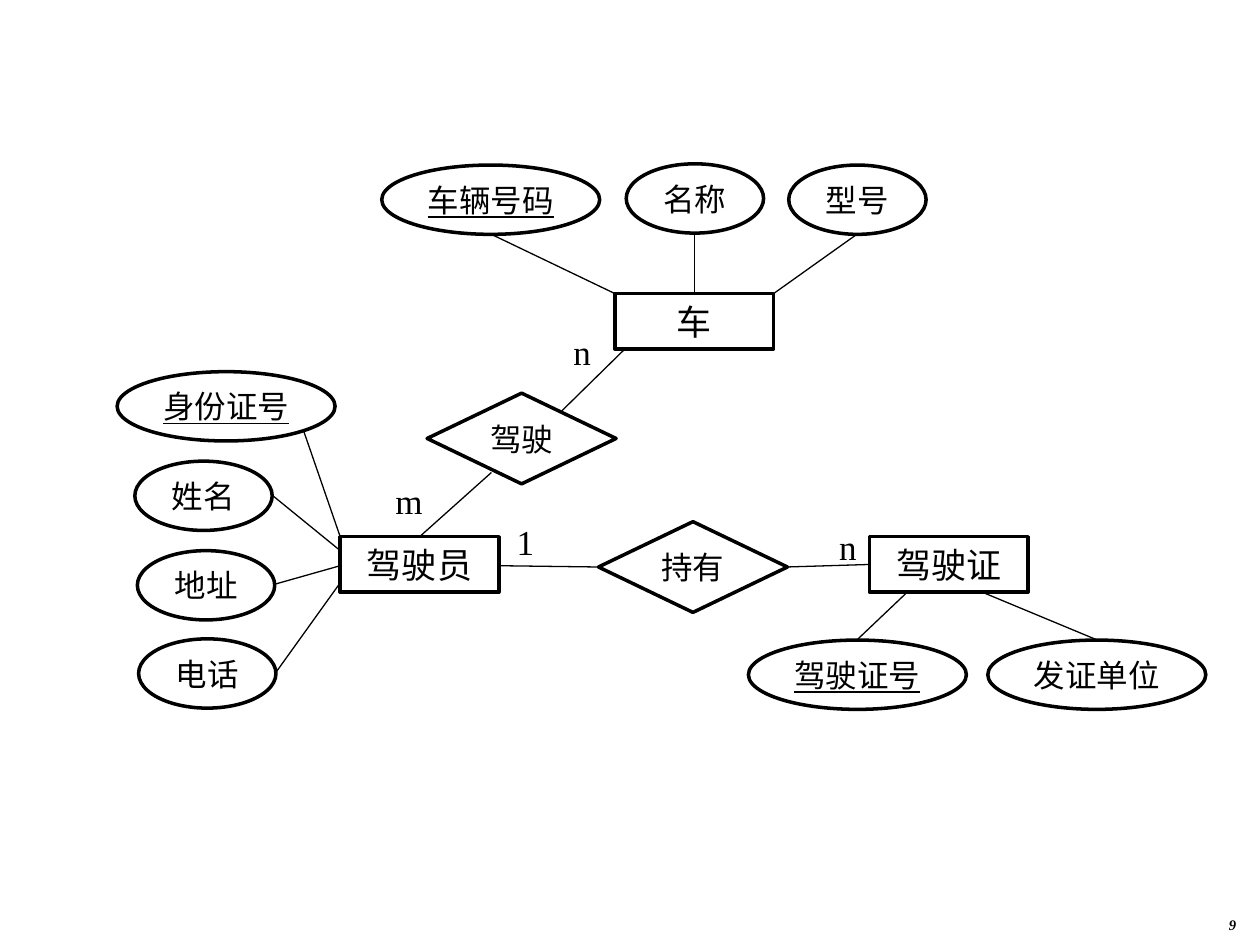
"""Build an entity-relationship slide of drivers, vehicles and licences."""
from typing import NamedTuple

import pptx
import pptx.util
from pptx.dml.color import RGBColor
from pptx.enum.shapes import MSO_CONNECTOR, MSO_SHAPE
from pptx.enum.text import MSO_ANCHOR, PP_ALIGN
from pptx.oxml.ns import qn

COLORS = {"ink": "000000", "paper": "FFFFFF"}
FONT = "Times New Roman"
COLUMNS, ROWS = 100, 75

deck = pptx.Presentation()
deck.slide_width, deck.slide_height = pptx.util.Inches(10), pptx.util.Inches(7.5)
slide = deck.slides.add_slide(deck.slide_layouts[6])


class Kind(NamedTuple):
    outline: MSO_SHAPE
    width: float
    height: float
    size: float


class Node(NamedTuple):
    text: str
    kind: Kind
    column: float
    row: float
    key: bool = False


class Link(NamedTuple):
    start: tuple[float, float]
    end: tuple[float, float]


class Cardinality(NamedTuple):
    text: str
    column: float
    row: float
    width: float = 3.4


ENTITY = Kind(MSO_SHAPE.RECTANGLE, 12.6, 4.4, 20)
RELATION = Kind(MSO_SHAPE.DIAMOND, 15, 7.2, 18)
WIDE = Kind(MSO_SHAPE.OVAL, 17.3, 5.5, 18)
SHORT = Kind(MSO_SHAPE.OVAL, 10.9, 5.5, 18)

NODES = [
    Node("车", ENTITY, 48.8, 23.3),
    Node("驾驶员", ENTITY, 27, 42.6),
    Node("驾驶证", ENTITY, 69, 42.6),
    Node("驾驶", RELATION, 33.9, 31.2),
    Node("持有", RELATION, 47.5, 41.4),
    Node("车辆号码", WIDE, 30.3, 13.1, key=True),
    Node("名称", SHORT, 49.7, 13),
    Node("型号", SHORT, 62.6, 13.1),
    Node("身份证号", WIDE, 9.3, 29.5, key=True),
    Node("姓名", SHORT, 10.7, 36.6),
    Node("地址", SHORT, 10.9, 43.7),
    Node("电话", SHORT, 11, 50.7),
    Node("驾驶证号", WIDE, 59.4, 50.8, key=True),
    Node("发证单位", WIDE, 78.4, 50.8),
]

LINKS = [
    Link((39, 18.6), (48.8, 23.3)),
    Link((55.1, 18.5), (55.1, 23.3)),
    Link((68, 18.6), (61.4, 23.3)),
    Link((49.7, 27.6), (44.5, 32.7)),
    Link((33.3, 42.6), (39, 37.5)),
    Link((24.1, 34.2), (27, 42.6)),
    Link((21.6, 39.3), (27, 43.7)),
    Link((21.7, 46.4), (27, 44.9)),
    Link((21.8, 53.5), (26.9, 46.4)),
    Link((39.6, 44.9), (47.5, 45)),
    Link((62.4, 45), (69, 44.8)),
    Link((72, 47), (68, 50.8)),
    Link((78.2, 47.1), (87.1, 50.8)),
]

CARDINALITIES = [
    Cardinality("n", 44.5, 25.7),
    Cardinality("m", 30.4, 37.6, width=4.1),
    Cardinality("1", 40, 40.8),
    Cardinality("n", 65.6, 41.2),
]


def across(columns: float) -> int:
    """Turn grid columns into a length."""
    return round(deck.slide_width * columns / COLUMNS)


def down(rows: float) -> int:
    """Turn grid rows into a length."""
    return round(deck.slide_height * rows / ROWS)


def color(name: str) -> RGBColor:
    """Look up a named colour."""
    return RGBColor.from_string(COLORS[name])


def write(shape, text: str, *, size: float, align=PP_ALIGN.CENTER,
          anchor=MSO_ANCHOR.TOP, underline=False, bold=False, italic=False,
          spacing=1.0) -> None:
    """Put one formatted line of text into a shape."""
    frame = shape.text_frame
    frame.word_wrap = False
    frame.vertical_anchor = anchor
    line = frame.paragraphs[0]
    line.alignment, line.line_spacing = align, spacing
    run = line.add_run()
    run.text = text
    font = run.font
    font.name, font.size = FONT, pptx.util.Pt(size)
    font.bold, font.italic, font.underline = bold, italic, underline
    font.color.rgb = color("ink")


def draw_node(node: Node) -> None:
    """Draw an entity, relation or attribute."""
    kind = node.kind
    shape = slide.shapes.add_shape(kind.outline, across(node.column), down(node.row),
                                   across(kind.width), down(kind.height))
    shape.shadow.inherit = False
    shape.fill.solid()
    shape.fill.fore_color.rgb = color("paper")
    shape.line.color.rgb = color("ink")
    shape.line.width = pptx.util.Pt(2)
    write(shape, node.text, size=kind.size, anchor=MSO_ANCHOR.MIDDLE, underline=node.key)


def draw_link(link: Link) -> None:
    """Draw a thin line between two grid points."""
    (start_column, start_row), (end_column, end_row) = link
    connector = slide.shapes.add_connector(
        MSO_CONNECTOR.STRAIGHT, across(start_column), down(start_row),
        across(end_column), down(end_row))
    connector.line.color.rgb = color("ink")
    connector.line.width = pptx.util.Pt(0.75)
    properties = connector.element.spPr
    properties.append(properties.makeelement(qn("a:effectLst"), {}))


def draw_cardinality(mark: Cardinality) -> None:
    """Draw the cardinality beside a link."""
    box = slide.shapes.add_textbox(across(mark.column), down(mark.row),
                                   across(mark.width), down(4.4))
    write(box, mark.text, size=20)


def main() -> None:
    """Draw the diagram and save the deck."""
    page_number = slide.shapes.add_textbox(across(78.3), down(72.5), across(20.8), down(2.5))
    write(page_number, "9", size=8.4, align=PP_ALIGN.RIGHT, bold=True, italic=True, spacing=0.8)
    page_number.text_frame.word_wrap = True
    for node in NODES:
        draw_node(node)
    for link in LINKS:
        draw_link(link)
    for mark in CARDINALITIES:
        draw_cardinality(mark)
    deck.save("out.pptx")


if __name__ == "__main__":
    main()
